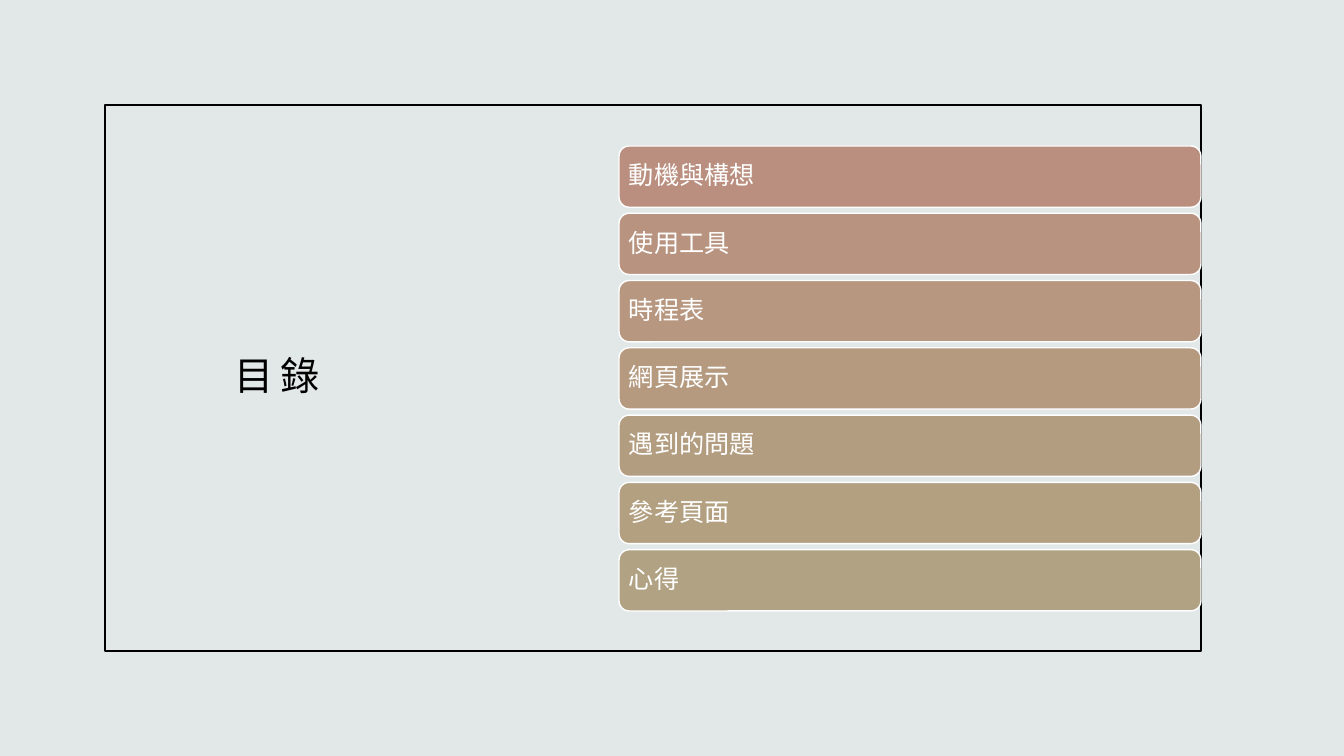
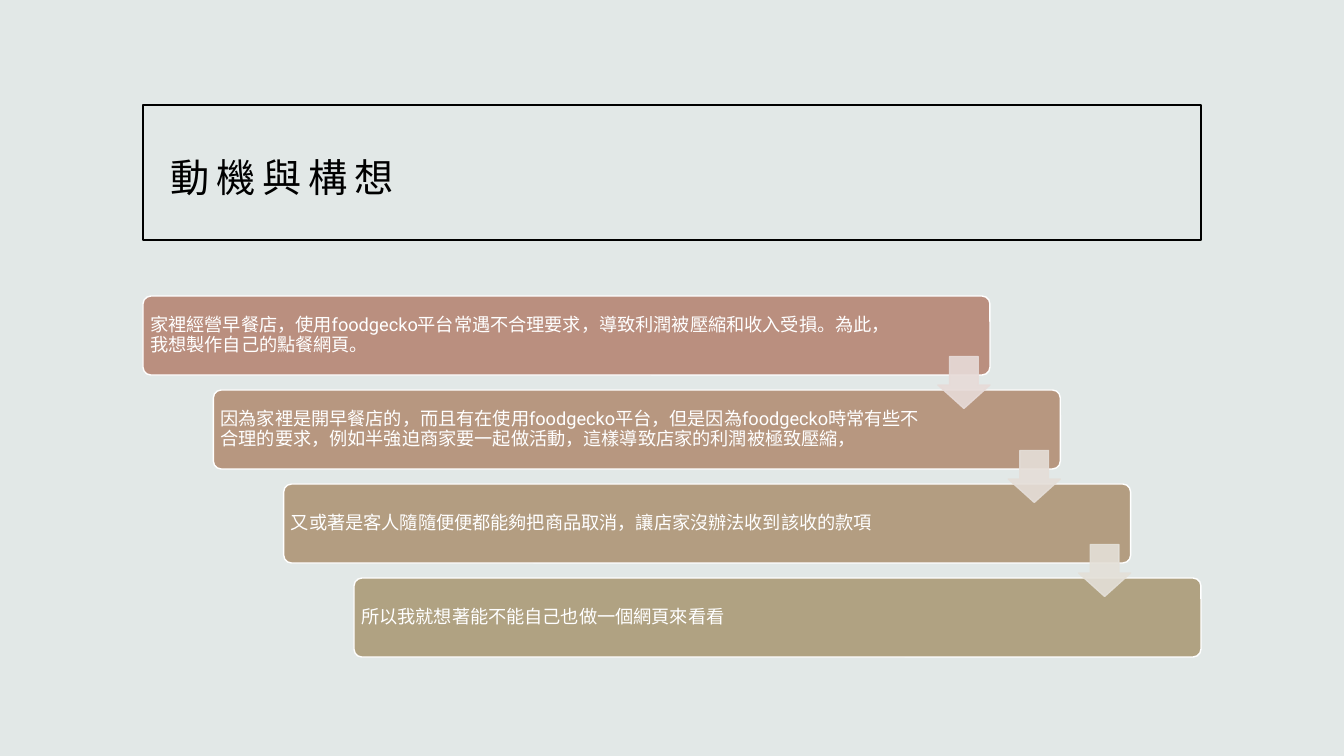
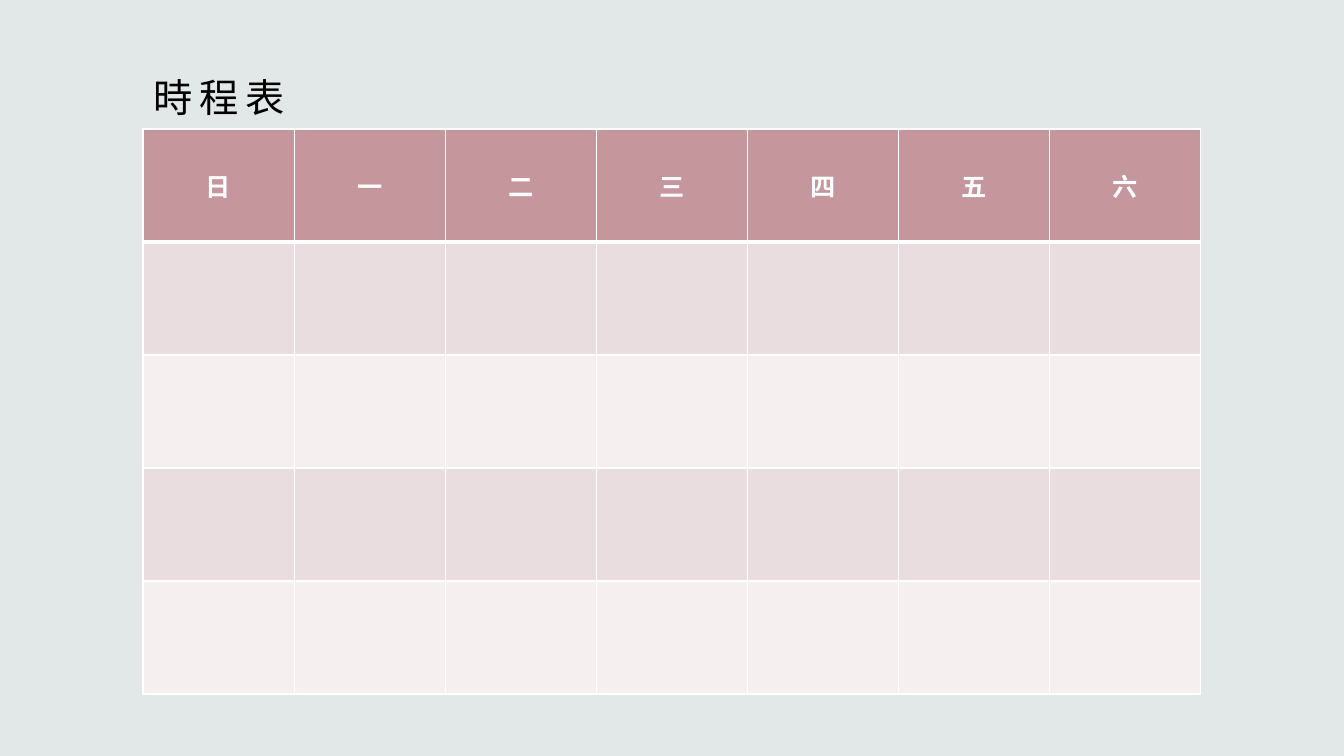
from dataclasses import dataclass
from typing import NamedTuple

from lxml.etree import SubElement
from pptx import Presentation
from pptx.dml.color import RGBColor
from pptx.enum.shapes import MSO_SHAPE
from pptx.enum.text import MSO_ANCHOR, MSO_AUTO_SIZE, PP_ALIGN
from pptx.oxml import parse_xml
from pptx.oxml.ns import nsdecls, qn
from pptx.util import Pt

EMU_PER_PX = 914400 / 100.8
TITLE_ONLY_LAYOUT = 5


@dataclass(frozen=True)
class Theme:
    background: str = "E2E8E7"
    ink: str = "000000"
    white: str = "FFFFFF"
    ramp: tuple = ("BA8F7F", "B8937F", "B79780", "B59A80", "B39D81", "B2A081", "B0A282")
    arrows: tuple = ("E7DBD8", "E5DED8", "E4E0D8")
    arrow_opacity: int = 90
    table_header: str = "C6969D"
    table_bands: tuple = ("EADDDF", "F5EFEF")
    title_font: str = "Times New Roman"
    body_font: str = "Roboto"
    title_size: int = 28
    title_tracking: int = 5
    body_size: int = 18
    step_size: int = 13
    line_width: int = 1
    header_rule: int = 3


THEME = Theme()


class Box(NamedTuple):
    left: float
    top: float
    width: float
    height: float

    def emu(self):
        return [px(length) for length in self]


def px(length):
    return round(length * EMU_PER_PX)


def color(value):
    return RGBColor.from_string(value)


def style_font(paragraph, name, size, value, bold=False):
    font = paragraph.font
    font.name = name
    font.size = Pt(size)
    font.bold = bold
    font.color.rgb = color(value)


def add_box_shape(slide, kind, box, fill, line):
    shape = slide.shapes.add_shape(kind, *box.emu())
    shape.shadow.inherit = False
    if fill:
        shape.fill.solid()
        shape.fill.fore_color.rgb = color(fill)
    else:
        shape.fill.background()
    shape.line.color.rgb = color(line)
    shape.line.width = Pt(THEME.line_width)
    return shape


def add_frame(slide, box):
    add_box_shape(slide, MSO_SHAPE.RECTANGLE, box, None, THEME.ink)


def add_titled_slide(presentation, text, box, anchor=MSO_ANCHOR.MIDDLE):
    slide = presentation.slides.add_slide(presentation.slide_layouts[TITLE_ONLY_LAYOUT])
    title = slide.shapes.title
    title.left, title.top, title.width, title.height = box.emu()
    frame = title.text_frame
    frame.text = text
    frame.word_wrap = True
    frame.auto_size = MSO_AUTO_SIZE.NONE
    frame.vertical_anchor = anchor
    paragraph = frame.paragraphs[0]
    paragraph.alignment = PP_ALIGN.LEFT
    paragraph.line_spacing = 1.2
    style_font(paragraph, THEME.title_font, THEME.title_size, THEME.ink)
    for properties in title.element.iter(qn("a:defRPr")):
        properties.set("spc", str(THEME.title_tracking * 100))
    return slide


def add_bar(slide, box, text, fill, size, inset, right_inset):
    bar = add_box_shape(slide, MSO_SHAPE.ROUNDED_RECTANGLE, box, fill, THEME.white)
    frame = bar.text_frame
    frame.text = text
    frame.word_wrap = True
    frame.vertical_anchor = MSO_ANCHOR.MIDDLE
    frame.margin_left = frame.margin_top = frame.margin_bottom = px(inset)
    frame.margin_right = px(right_inset)
    paragraph = frame.paragraphs[0]
    paragraph.alignment = PP_ALIGN.LEFT
    paragraph.line_spacing = 0.9
    style_font(paragraph, THEME.body_font, size, THEME.white)
    return bar


def add_contents_list(slide, box, entries):
    gap, inset = 6, 7
    height = (box.height - gap * (len(entries) - 1)) / len(entries)
    for index, (text, fill) in enumerate(zip(entries, THEME.ramp)):
        bar_box = Box(box.left, box.top + index * (height + gap), box.width, height)
        add_bar(slide, bar_box, text, fill, THEME.body_size, inset, inset)


def add_down_arrow(slide, box, fill):
    arrow = add_box_shape(slide, MSO_SHAPE.DOWN_ARROW, box, fill, fill)
    arrow.adjustments[0] = 0.55
    arrow.adjustments[1] = 0.45
    for solid in arrow.element.spPr.iter(qn("a:solidFill")):
        SubElement(solid[0], qn("a:alpha"), val=str(THEME.arrow_opacity * 1000))


def add_staircase(slide, box, steps):
    """Stagger the steps across the box and join each to the next with an arrow."""
    step_width, gap, inset, arrow_size = 847, 15, 5, 52
    count = len(steps)
    height = (box.height - gap * (count - 1)) / count
    shift = (box.width - step_width) / (count - 1)
    step_boxes = [
        Box(box.left + index * shift, box.top + index * (height + gap), step_width, height)
        for index in range(count)
    ]
    for step_box, (text, right_inset), fill in zip(step_boxes, steps, THEME.ramp[::2]):
        bar = add_bar(slide, step_box, text, fill, THEME.step_size, inset, right_inset)
        bar.adjustments[0] = 0.1
    for step_box, fill in zip(step_boxes, THEME.arrows):
        left = step_box.left + step_width - arrow_size
        top = step_box.top + height + (gap - arrow_size) / 2
        add_down_arrow(slide, Box(left, top, arrow_size, arrow_size), fill)


def set_borders(cell, top_width, bottom_width):
    widths = {"lnL": THEME.line_width, "lnR": THEME.line_width,
              "lnT": top_width, "lnB": bottom_width}
    properties = cell._tc.get_or_add_tcPr()
    for position, (tag, width) in enumerate(widths.items()):
        border = parse_xml(
            f'<a:{tag} {nsdecls("a")} w="{Pt(width)}"><a:solidFill>'
            f'<a:srgbClr val="{THEME.white}"/></a:solidFill></a:{tag}>'
        )
        properties.insert(position, border)


def add_calendar(slide, box, days, week_count):
    row_count = week_count + 1
    table = slide.shapes.add_table(row_count, len(days), *box.emu()).table
    for column in table.columns:
        column.width = px(box.width / len(days))
    for row_index, row in enumerate(table.rows):
        row.height = px(box.height / row_count)
        is_header = row_index == 0
        fill = THEME.table_header if is_header else THEME.table_bands[(row_index - 1) % 2]
        top_width = THEME.header_rule if row_index == 1 else THEME.line_width
        bottom_width = THEME.header_rule if is_header else THEME.line_width
        for cell, day in zip(row.cells, days):
            cell.fill.solid()
            cell.fill.fore_color.rgb = color(fill)
            set_borders(cell, top_width, bottom_width)
            if is_header:
                cell.text = day
                cell.vertical_anchor = MSO_ANCHOR.MIDDLE
                paragraph = cell.text_frame.paragraphs[0]
                paragraph.alignment = PP_ALIGN.CENTER
                style_font(paragraph, THEME.body_font, THEME.body_size, THEME.white, bold=True)


def build_contents_slide(presentation):
    slide = add_titled_slide(presentation, "目錄", Box(224, 242, 382, 161), MSO_ANCHOR.BOTTOM)
    add_frame(slide, Box(105, 105, 1096, 546))
    entries = ["動機與構想", "使用工具", "時程表", "網頁展示", "遇到的問題", "參考頁面", "心得"]
    add_contents_list(slide, Box(619, 146, 582, 465), entries)


def build_motivation_slide(presentation):
    slide = add_titled_slide(presentation, "動機與構想", Box(160, 135, 1041, 75))
    add_frame(slide, Box(143, 105, 1058, 135))
    steps = [
        ("家裡經營早餐店，使用foodgecko平台常遇不合理要求，"
         "導致利潤被壓縮和收入受損。為此，我想製作自己的點餐網頁。", 93),
        ("因為家裡是開早餐店的，而且有在使用foodgecko平台，但是因為foodgecko時常有些"
         "不合理的要求，例如半強迫商家要一起做活動，這樣導致店家的利潤被極致壓縮，", 128),
        ("又或著是客人隨隨便便都能夠把商品取消，讓店家沒辦法收到該收的款項", 128),
        ("所以我就想著能不能自己也做一個網頁來看看", 128),
    ]
    add_staircase(slide, Box(143, 296, 1058, 361), steps)


def build_schedule_slide(presentation):
    slide = add_titled_slide(presentation, "時程表", Box(143, 20, 1058, 144))
    add_calendar(slide, Box(143, 129, 1058, 565), "日一二三四五六", week_count=4)


def main():
    presentation = Presentation()
    presentation.slide_width = px(1344)
    presentation.slide_height = px(756)
    background = presentation.slide_master.background.fill
    background.solid()
    background.fore_color.rgb = color(THEME.background)
    build_contents_slide(presentation)
    build_motivation_slide(presentation)
    build_schedule_slide(presentation)
    presentation.save("out.pptx")


if __name__ == "__main__":
    main()
